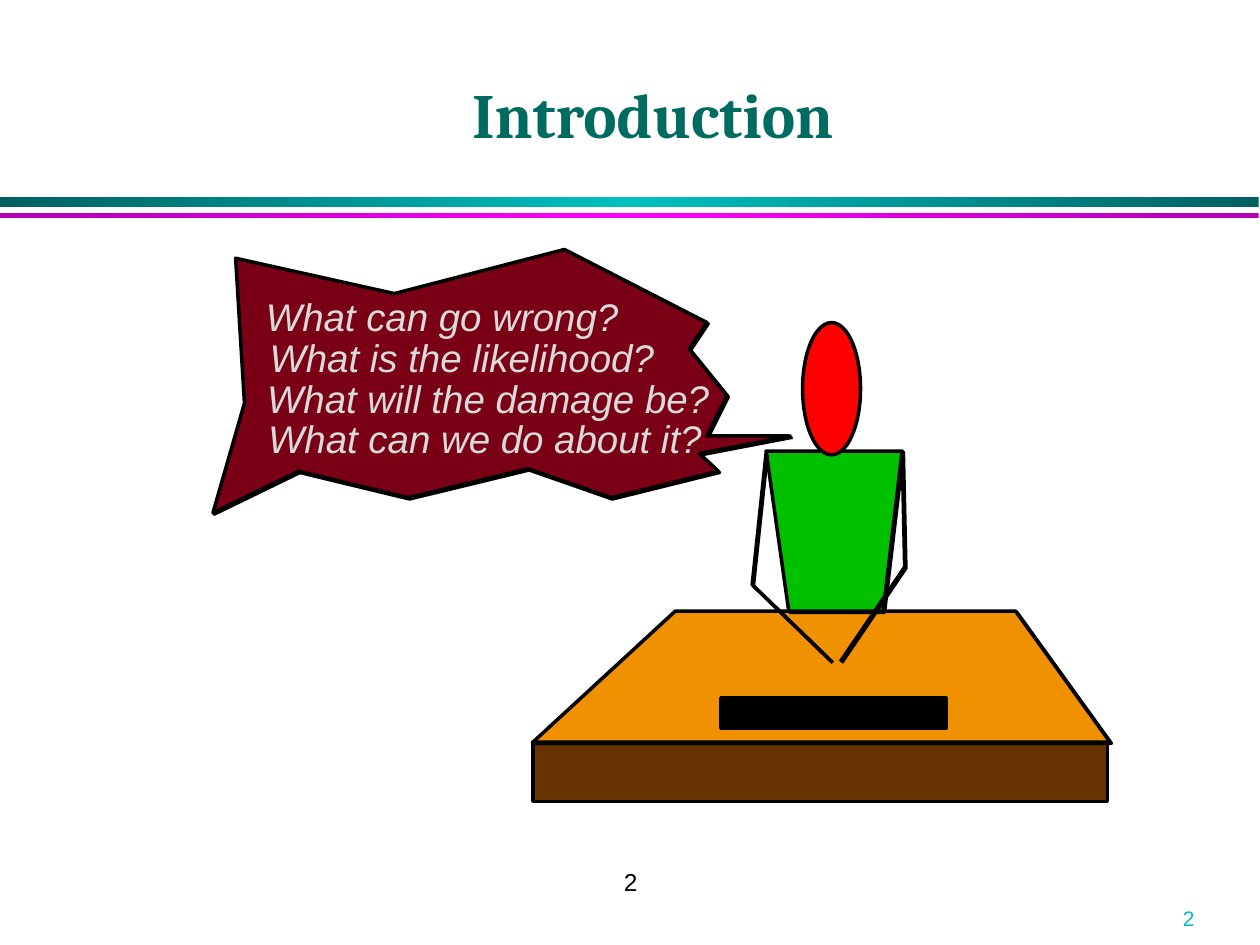
from copy import deepcopy
from typing import NamedTuple

from pptx import Presentation
from pptx.dml.color import RGBColor
from pptx.enum.shapes import MSO_SHAPE
from pptx.enum.text import MSO_ANCHOR, PP_ALIGN
from pptx.util import Inches, Pt

RECTANGLE, OVAL = MSO_SHAPE.RECTANGLE, MSO_SHAPE.OVAL
LEFT, CENTER = PP_ALIGN.LEFT, PP_ALIGN.CENTER
TOP, BOTTOM = MSO_ANCHOR.TOP, MSO_ANCHOR.BOTTOM

COLORS = {
    "black": "000000", "teal": "00C0C0", "dark teal": "006060",
    "magenta": "FF00FF", "dark magenta": "B200B2", "title": "006B61",
    "speech": "DADADA", "maroon": "790015", "brown": "663300",
    "orange": "EF9100", "green": "00C000", "red": "FF0000",
}
OUTLINE_WIDTH = Pt(2)
ECHO_OFFSET = 0.01


class Band(NamedTuple):
    top: float
    height: float
    edge: str
    middle: str


class Outline(NamedTuple):
    points: list[tuple[float, float]]
    fill: str | None = None


class Solid(NamedTuple):
    kind: MSO_SHAPE
    left: float
    top: float
    width: float
    height: float
    fill: str


class Label(NamedTuple):
    text: str
    left: float
    top: float
    width: float
    height: float
    color: str
    font: dict
    align: PP_ALIGN = CENTER
    anchor: MSO_ANCHOR = TOP
    wrap: bool = True


BANDS = [
    Band(1.56, 0.08, "dark teal", "teal"),
    Band(1.69, 0.04, "dark magenta", "magenta"),
]
BALLOON = Outline([
    (6.28, 3.46), (5.55, 3.6), (5.7, 3.74), (4.85, 3.95), (4.19, 3.72),
    (3.24, 3.95), (2.37, 3.74), (1.69, 4.07), (1.94, 3.2), (1.87, 2.05),
    (3.13, 2.33), (4.48, 1.98), (5.61, 2.56), (5.47, 2.77), (5.77, 3.14),
    (5.61, 3.46), (6.26, 3.46)], "maroon")
DESK_FRONT = Solid(RECTANGLE, 4.23, 5.89, 4.56, 0.47, "brown")
DESK_TOP = Outline([(4.23, 5.89), (5.36, 4.85), (8.06, 4.85), (8.81, 5.89), (4.23, 5.89)], "orange")
BODY = Outline([(6.26, 4.85), (6.08, 3.58), (7.16, 3.58), (7.01, 4.85), (6.26, 4.85)], "green")
LEFT_ARM = Outline([(6.08, 3.6), (5.97, 4.64), (6.6, 5.25)])
RIGHT_ARM = Outline([(7.16, 3.58), (7.18, 4.5), (6.67, 5.25)])
HEAD = Solid(OVAL, 6.37, 2.56, 0.46, 1.05, "red")
NAMEPLATE = Solid(RECTANGLE, 5.72, 5.54, 1.79, 0.24, "black")

SPEECH_FONT = {"name": "Arial", "size": Pt(22), "italic": True}
QUESTIONS = [
    ("What can go wrong?", 2.01, 3),
    ("What is the likelihood?", 2.04, 3.25),
    ("What will the damage be?", 2.02, 3.71),
    ("What can we do about it?", 2.03, 3.64),
]
FIRST_QUESTION_TOP, QUESTION_PITCH = 2.28, 0.323
PAGE_LABELS = [
    Label("2", 9.29, 7.14, 0.96, 0.3, "teal", {"name": "Arial", "size": Pt(12)}, LEFT),
    Label("2", 3.42, 6.83, 3.17, 0.5, "black", {"name": "Arial", "size": Pt(14)}),
    Label("Introduction", 1.59, 0.58, 7.18, 0.67, "title",
          {"name": "Cambria", "size": Pt(36), "bold": True}, anchor=BOTTOM),
]


def rgb(name: str) -> RGBColor:
    return RGBColor.from_string(COLORS[name])


def style(shape, fill: str | None) -> None:
    shape.shadow.inherit = False
    if fill:
        shape.fill.solid()
        shape.fill.fore_color.rgb = rgb(fill)
    else:
        shape.fill.background()
    shape.line.color.rgb = rgb("black")
    shape.line.width = OUTLINE_WIDTH


def draw_band(page, band: Band) -> None:
    shape = page.shapes.add_shape(RECTANGLE, 0, Inches(band.top), Inches(9.99), Inches(band.height))
    shape.shadow.inherit = False
    shape.line.fill.background()
    shape.fill.gradient()
    shape.fill.gradient_angle = 0
    first_stop = shape.element.xpath(".//a:gs")[0]
    first_stop.addnext(deepcopy(first_stop))
    stops = zip(shape.fill.gradient_stops, (0, 0.5, 1), (band.edge, band.middle, band.edge))
    for stop, position, color in stops:
        stop.position = position
        stop.color.rgb = rgb(color)


def draw_outline(page, outline: Outline) -> None:
    for offset, fill in ((ECHO_OFFSET, None), (0, outline.fill)):
        points = [(Inches(x + offset), Inches(y + offset)) for x, y in outline.points]
        builder = page.shapes.build_freeform(*points[0])
        builder.add_line_segments(points[1:], close=False)
        style(builder.convert_to_shape(), fill)


def draw_solid(page, solid: Solid) -> None:
    box = (Inches(length) for length in solid[1:5])
    style(page.shapes.add_shape(solid.kind, *box), solid.fill)


def draw_label(page, label: Label) -> None:
    box = page.shapes.add_textbox(*(Inches(length) for length in label[1:5]))
    frame = box.text_frame
    frame.word_wrap = label.wrap
    frame.vertical_anchor = label.anchor
    para = frame.paragraphs[0]
    para.alignment = label.align
    span = para.add_run()
    span.text = label.text
    span.font.color.rgb = rgb(label.color)
    for attribute, value in label.font.items():
        setattr(span.font, attribute, value)


def main() -> None:
    deck = Presentation()
    deck.slide_width, deck.slide_height = Inches(10), Inches(7.5)
    page = deck.slides.add_slide(deck.slide_layouts[6])
    for band in BANDS:
        draw_band(page, band)
    for label in PAGE_LABELS:
        draw_label(page, label)
    draw_outline(page, BALLOON)
    draw_solid(page, DESK_FRONT)
    for outline in (DESK_TOP, BODY, LEFT_ARM, RIGHT_ARM):
        draw_outline(page, outline)
    draw_solid(page, HEAD)
    for row, (text, left, width) in enumerate(QUESTIONS):
        top = FIRST_QUESTION_TOP + row * QUESTION_PITCH
        draw_label(page, Label(text, left, top, width, 0.46, "speech", SPEECH_FONT, wrap=False))
    draw_solid(page, NAMEPLATE)
    deck.save("out.pptx")


if __name__ == "__main__":
    main()
